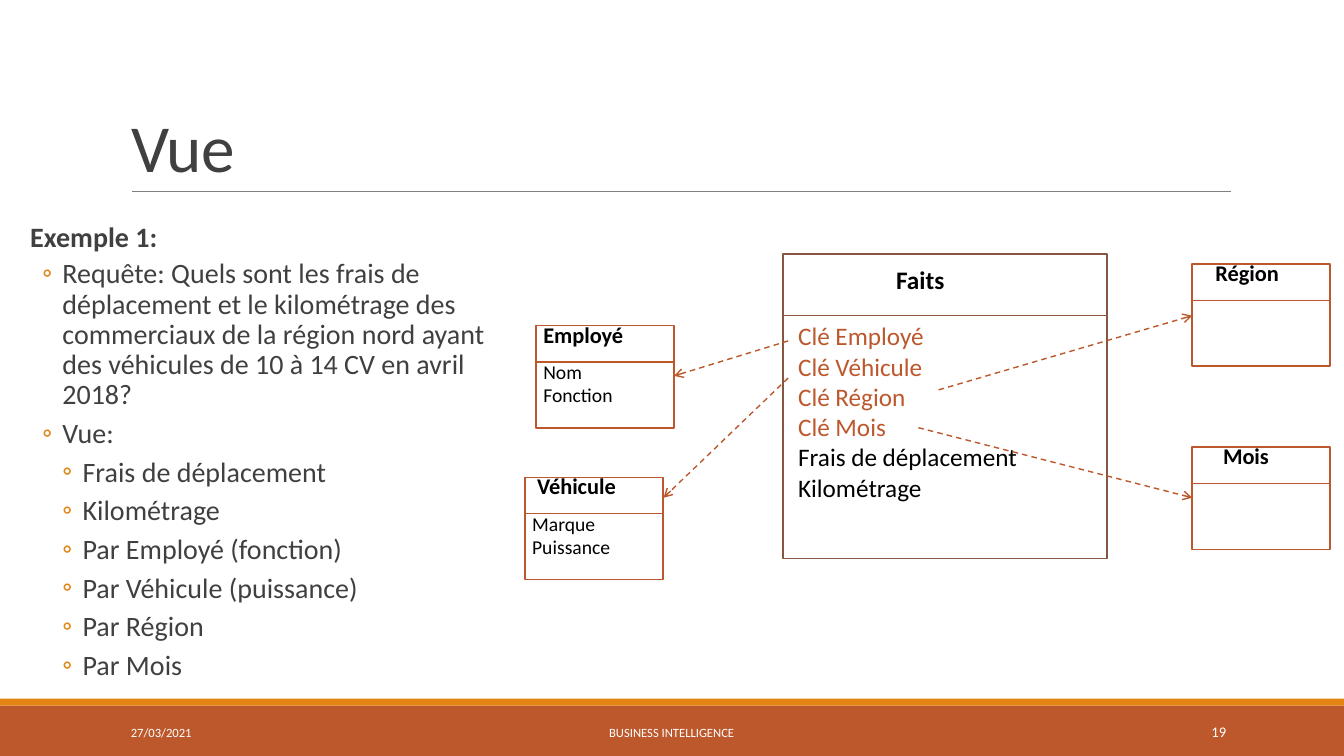
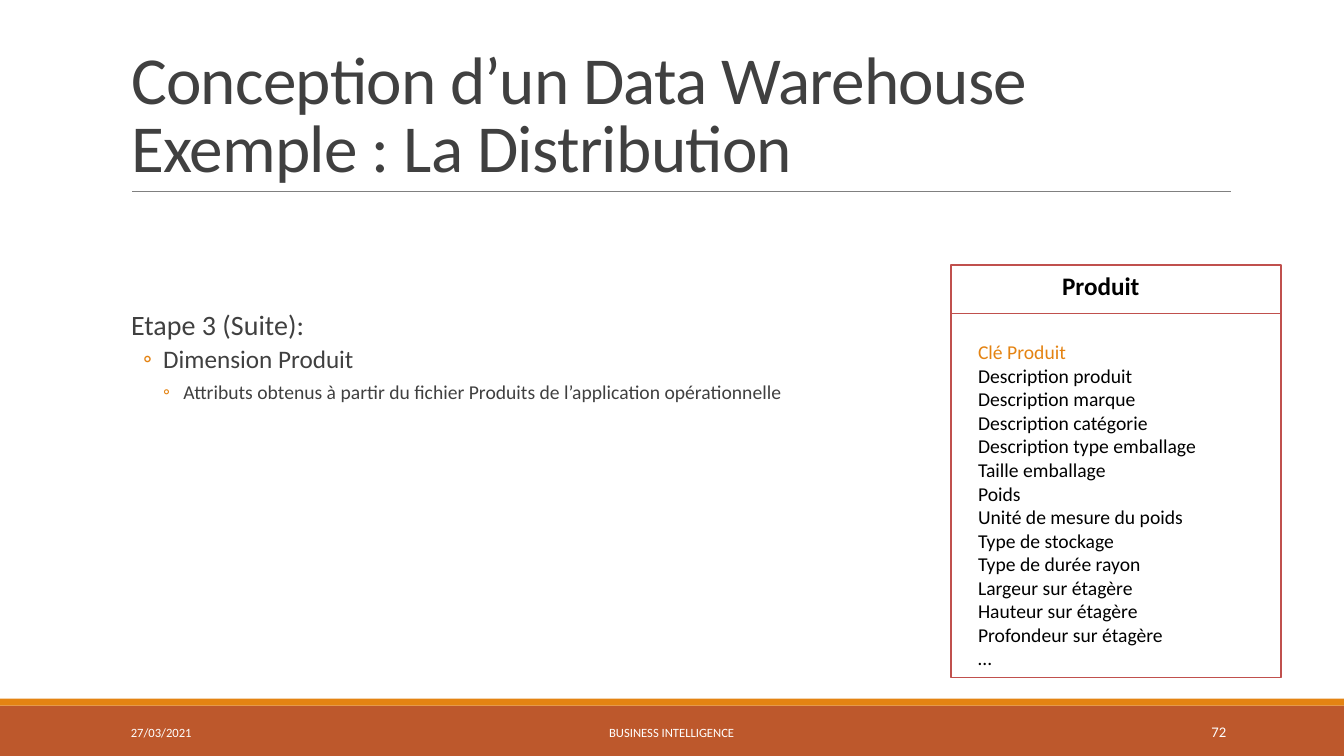
from dataclasses import dataclass

from lxml.etree import SubElement
from pptx import Presentation
from pptx.dml.color import RGBColor as RGB
from pptx.enum.dml import MSO_LINE
from pptx.enum.shapes import MSO_CONNECTOR as CONN, MSO_SHAPE as SHAPE
from pptx.enum.text import MSO_ANCHOR as ANCHOR, MSO_AUTO_SIZE as FIT, PP_ALIGN as ALIGN
from pptx.oxml.ns import qn
from pptx.util import Pt


@dataclass(frozen=True)
class Theme:
    font: str = "Calibri"
    rust: RGB = RGB.from_string("BD582C")
    orange: RGB = RGB.from_string("E48312")
    brown: RGB = RGB.from_string("865640")
    red: RGB = RGB.from_string("C0504D")
    gray: RGB = RGB.from_string("808080")
    ink: RGB = RGB.from_string("404040")
    black: RGB = RGB.from_string("000000")
    white: RGB = RGB.from_string("FFFFFF")
    title: float = 48
    body: float = 20
    head: float = 18
    small_head: float = 16
    detail: float = 14
    number: float = 10.5
    footer: float = 9


T = Theme()

# Each level: left margin, first-line indent, space before, space after, bullet
LEVELS = [(7.2, 0, 12, 2, None), (30.2, -14.4, 2, 4, "◦"), (44.6, -14.4, 2, 4, "◦")]

# Entity styles; "name_dy" and "rows_at" are offsets from the box's corner
FACT = dict(w=231.5, h=217.5, head=44, name_dy=3.5, rows_at=(3.5, 44), line=T.brown,
            key=T.rust, name_size=T.head, row_size=T.head)
DIMENSION = dict(w=98.5, h=73, head=26, name_dy=-7, rows_at=(-2, 21), line=T.rust,
                 key=T.rust, name_size=T.small_head, row_size=T.detail)
PRODUCT = dict(w=235.5, h=294.5, head=34.5, name_dy=0, rows_at=(12, 50), line=T.red,
               key=T.orange, name_size=T.head, row_size=T.detail)

PAGES = [
    dict(
        title="Vue", number="19", body_box=(14.4, 156.2, 363.6, 300),
        body=[
            (0, "Exemple 1:", T.body, True),
            (1, "Requête: Quels sont les frais de déplacement et le kilométrage des "
                "commerciaux de la région nord ayant des véhicules de 10 à 14 CV en "
                "avril 2018?", T.body, False),
            (1, "Vue:", T.body, False),
            *[(2, text, T.body, False) for text in (
                "Frais de déplacement", "Kilométrage", "Par Employé (fonction)",
                "Par Véhicule (puissance)", "Par Région", "Par Mois")],
        ],
        # Style, left, top, name, name offset, key rows, other rows
        entities=[
            (FACT, 559.5, 181.5, "Faits", 73.5,
             ["Clé Employé", "Clé Véhicule", "Clé Région", "Clé Mois"],
             ["Frais de déplacement", "Kilométrage"]),
            (DIMENSION, 383, 232.5, "Employé", -2, [], ["Nom", "Fonction"]),
            (DIMENSION, 375, 341, "Véhicule", 1.5, [], ["Marque", "Puissance"]),
            (DIMENSION, 851.5, 188.5, "Région", 9.5, [], []),
            (DIMENSION, 851.5, 319.5, "Mois", 15, [], []),
        ],
        arrows=[
            (563, 243.5, 481.5, 268.5), (563, 270, 474, 355.5),
            (670.5, 278.5, 851.5, 225.5), (656, 305.5, 851.5, 355.5),
        ],
    ),
    dict(
        title="Conception d’un Data Warehouse\vExemple : La Distribution", number="72",
        body_box=(86.4, 218.5, 792, 244),
        body=[
            (0, "Etape 3 (Suite):", T.body, False),
            (1, "Dimension Produit", T.head, False),
            (2, "Attributs obtenus à partir du fichier Produits de l’application "
                "opérationnelle", T.detail, False),
        ],
        entities=[
            (PRODUCT, 679.5, 189.5, "Produit", 72, ["Clé Produit"],
             ["Description produit", "Description marque", "Description catégorie",
              "Description type emballage", "Taille emballage", "Poids",
              "Unité de mesure du poids", "Type de stockage", "Type de durée rayon",
              "Largeur sur étagère", "Hauteur sur étagère", "Profondeur sur étagère", "…"]),
        ],
        arrows=[],
    ),
]


def write(tf, lines, **frame):
    """Fill a text frame; each line is (text, paragraph format, size, colour, bold)."""
    for name, value in dict(word_wrap=True, auto_size=FIT.NONE, **frame).items():
        setattr(tf, name, value)
    for i, (text, para, size, color, bold) in enumerate(lines):
        p = tf.add_paragraph() if i else tf.paragraphs[0]
        p.text = text
        for name, value in para.items():
            setattr(p, name, value)
        for r in p.runs:
            for name, value in dict(name=T.font, size=Pt(size), bold=bold).items():
                setattr(r.font, name, value)
            r.font.color.rgb = color


def add_line(sl, ends, color, width, arrow=False):
    c = sl.shapes.add_connector(CONN.STRAIGHT, *map(Pt, ends))
    c.line.color.rgb = color
    c.line.width = Pt(width)
    if arrow:
        c.line.dash_style = MSO_LINE.DASH
        SubElement(c.element.spPr.find(qn("a:ln")), qn("a:tailEnd"), type="arrow")
    SubElement(c.element.spPr, qn("a:effectLst"))
    return c


prs = Presentation()
prs.slide_width, prs.slide_height = Pt(960), Pt(540)
layout = prs.slide_layouts[1]
slides = [prs.slides.add_slide(layout) for _ in PAGES]

# The bands and the title rule are drawn once, then moved to the layout
decor = []
for top, height, color in [(504, 36, T.rust), (499, 5, T.orange)]:
    sp = slides[0].shapes.add_shape(SHAPE.RECTANGLE, *map(Pt, (0, top, 960, height)))
    sp.shadow.inherit = False
    sp.fill.solid()
    sp.fill.fore_color.rgb = color
    sp.line.fill.background()
    decor.append(sp)
decor.append(add_line(slides[0], (94.5, 136.8, 879, 136.8), T.gray, 0.5))
for shape_id, sp in enumerate(decor, start=20):
    sp.element.xpath(".//p:cNvPr")[0].set("id", str(shape_id))
    layout.shapes.element.append(sp.element)

for sl, page in zip(slides, PAGES):
    title, body = sl.placeholders
    for sp, box in [(title, (86.4, 22.5, 792, 114.3)), (body, page["body_box"])]:
        sp.left, sp.top, sp.width, sp.height = map(Pt, box)

    write(title.text_frame,
          [(page["title"], dict(alignment=ALIGN.LEFT, line_spacing=0.85),
            T.title, T.ink, False)], vertical_anchor=ANCHOR.BOTTOM)
    for r in title.text_frame.paragraphs[0].runs:
        r.font.element.set("spc", "-50") if hasattr(r.font, "element") else \
            r._r.get_or_add_rPr().set("spc", "-50")

    lines = []
    for level, text, size, bold in page["body"]:
        _, _, before, after, _ = LEVELS[level]
        para = dict(level=level, line_spacing=0.9, space_before=Pt(before),
                    space_after=Pt(after))
        lines.append((text, para, size, T.ink, bold))
    write(body.text_frame, lines, margin_left=0, margin_right=0,
          vertical_anchor=ANCHOR.TOP)
    for p in body.text_frame.paragraphs:
        margin, indent, _, _, bullet = LEVELS[p.level]
        pPr = p._p.get_or_add_pPr()
        pPr.set("marL", str(Pt(margin)))
        pPr.set("indent", str(Pt(indent)))
        if bullet:
            SubElement(SubElement(pPr, qn("a:buClr")), qn("a:srgbClr"), val=str(T.orange))
            SubElement(pPr, qn("a:buFont"), typeface=T.font)
            SubElement(pPr, qn("a:buChar"), char=bullet)
        else:
            SubElement(pPr, qn("a:buNone"))

    for left, width, text, align, size in [
        (86.4, 194.4, "27/03/2021", ALIGN.LEFT, T.footer),
        (290, 379.5, "BUSINESS INTELLIGENCE", ALIGN.CENTER, T.footer),
        (780, 103, page["number"], ALIGN.RIGHT, T.number),
    ]:
        tb = sl.shapes.add_textbox(*map(Pt, (left, 508.5, width, 28.8)))
        write(tb.text_frame, [(text, dict(alignment=align), size, T.white, False)],
              vertical_anchor=ANCHOR.MIDDLE)

    for style, x, y, name, name_dx, keys, fields in page["entities"]:
        w, h, rule_y = style["w"], style["h"], y + style["head"]
        sp = sl.shapes.add_shape(SHAPE.RECTANGLE, *map(Pt, (x, y, w, h)))
        sp.shadow.inherit = False
        sp.fill.solid()
        sp.fill.fore_color.rgb = T.white
        sp.line.color.rgb = style["line"]
        sp.line.width = Pt(1.25)
        add_line(sl, (x, rule_y, x + w, rule_y), style["line"], 1)
        tb = sl.shapes.add_textbox(*map(Pt, (x + name_dx, y + style["name_dy"], 90, 29)))
        write(tb.text_frame, [(name, {}, style["name_size"], T.black, True)])
        if keys or fields:
            dx, dy = style["rows_at"]
            tb = sl.shapes.add_textbox(*map(Pt, (x + dx, y + dy, w - dx, h - dy)))
            write(tb.text_frame,
                  [(text, {}, style["row_size"], color, False)
                   for rows, color in [(keys, style["key"]), (fields, T.black)]
                   for text in rows])

    for ends in page["arrows"]:
        add_line(sl, ends, T.rust, 1, arrow=True)

prs.save("out.pptx")
